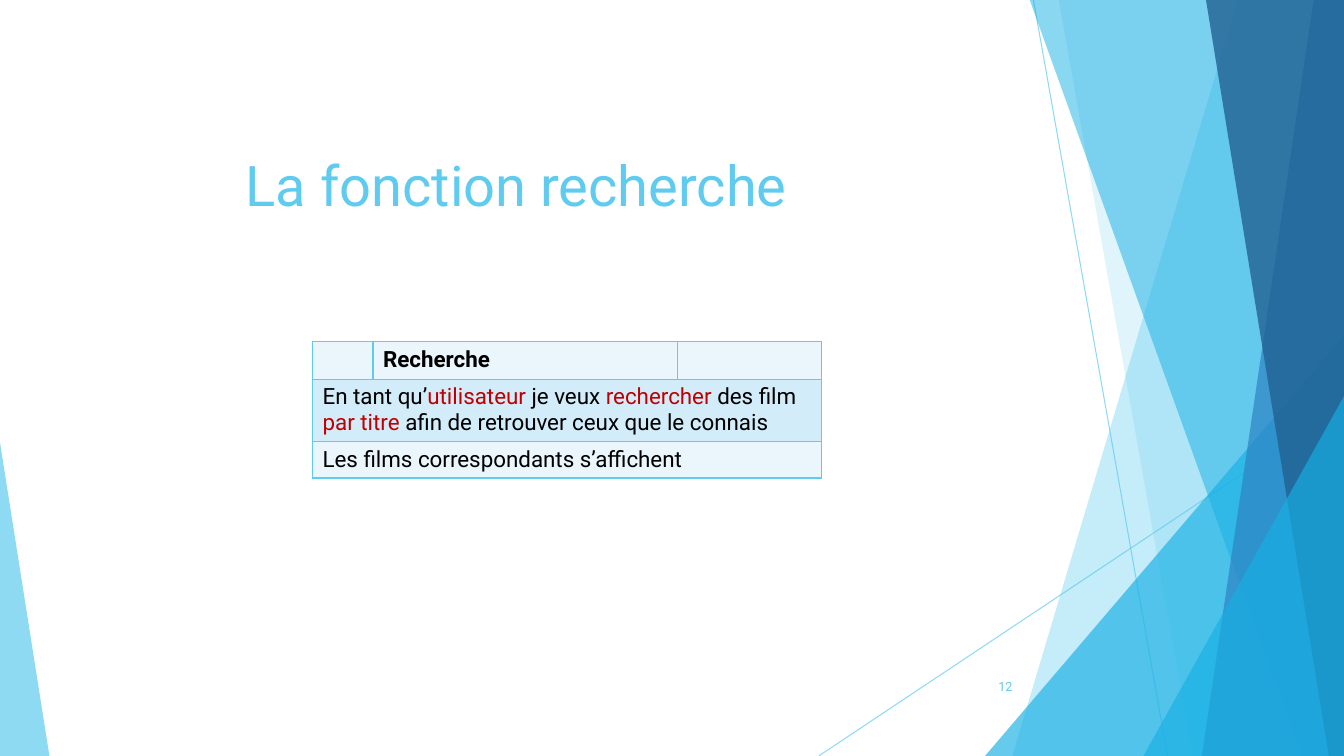
from lxml.etree import SubElement
from pptx import Presentation
from pptx.dml.color import RGBColor
from pptx.enum.shapes import MSO_CONNECTOR, MSO_SHAPE
from pptx.enum.text import MSO_ANCHOR, PP_ALIGN
from pptx.oxml.ns import qn
from pptx.util import Inches, Pt

SKY = RGBColor(0x5F, 0xCB, 0xEF)
CYAN = RGBColor(0x17, 0xB0, 0xE4)
BLUE = RGBColor(0x2E, 0x83, 0xC3)
NAVY = RGBColor(0x22, 0x62, 0x92)
PALE = RGBColor(0xEA, 0xF6, 0xFC)
LIGHT = RGBColor(0xD2, 0xEC, 0xF9)
RED = RGBColor(0xC0, 0x00, 0x00)
BLACK = RGBColor(0x00, 0x00, 0x00)
WIDTH, HEIGHT = 13.33, 7.5


def write(tf, *parts, size=16, color=BLACK, bold=False, align=PP_ALIGN.LEFT,
          anchor=MSO_ANCHOR.TOP):
    """Write (text, color) parts or plain strings as runs of one paragraph."""
    tf.word_wrap = True
    tf.vertical_anchor = anchor
    p = tf.paragraphs[0]
    p.alignment = align
    for part in parts:
        text, tint = (part, color) if isinstance(part, str) else part
        r = p.add_run()
        r.text = text
        r.font.name = "Roboto"
        r.font.size = Pt(size)
        r.font.bold = bold
        r.font.color.rgb = tint


def paint(fill, color, opacity):
    """Give a fill a solid color with an opacity in percent."""
    fill.solid()
    fill.fore_color.rgb = color
    for clr in fill._xPr.iter(qn("a:srgbClr")):
        SubElement(clr, qn("a:alpha"), val=str(opacity * 1000))


prs = Presentation()
prs.slide_width, prs.slide_height = Inches(WIDTH), Inches(HEIGHT)
s = prs.slides.add_slide(prs.slide_layouts[5])

# Thin crossing lines
for x1, y1, x2, y2 in [(10.25, 0, 11.58, HEIGHT), (WIDTH, 4.03, 8.12, HEIGHT)]:
    line = s.shapes.add_connector(MSO_CONNECTOR.STRAIGHT, Inches(x1), Inches(y1),
                                  Inches(x2), Inches(y2))
    line.line.width = Pt(0.75)
    paint(line.line.fill, SKY, 70)
    SubElement(line._element.spPr, qn("a:effectLst"))

# Translucent facets: a band has its top and bottom left corners and reaches
# the right edge; a triangle has its box and the place of its tip.
facets = [
    ("band", (12.28, 10.04), SKY, 36),
    ("band", (10.5, 11.83), SKY, 20),
    ("triangle", (9.77, 3.33, 3.56, 4.17, 1), CYAN, 66),
    ("band", (10.21, 12.91), CYAN, 50),
    ("band", (13.03, 11.92), BLUE, 70),
    ("band", (11.96, 13.18), NAVY, 80),
    ("triangle", (11.34, 3.93, 1.99, 3.57, 1), CYAN, 66),
    ("triangle", (0, 4.39, 0.49, 3.11, 0), SKY, 70),
]
for kind, geometry, color, opacity in facets:
    if kind == "band":
        top, bottom = geometry
        outline = s.shapes.build_freeform(Inches(top), Inches(-0.01))
        corners = [(WIDTH, -0.01), (WIDTH, HEIGHT), (bottom, HEIGHT)]
        outline.add_line_segments([(Inches(x), Inches(y)) for x, y in corners])
        sp = outline.convert_to_shape()
    else:
        *box, tip = geometry
        sp = s.shapes.add_shape(MSO_SHAPE.ISOSCELES_TRIANGLE, *map(Inches, box))
        sp.adjustments[0] = tip
    sp.shadow.inherit = False
    sp.line.fill.background()
    paint(sp.fill, color, opacity)

title = s.shapes.title
title.left, title.top = Inches(0.42), Inches(1.06)
title.width, title.height = Inches(9.4), Inches(1.15)
write(title.text_frame, "La fonction recherche", size=40, color=SKY,
      align=PP_ALIGN.CENTER, anchor=MSO_ANCHOR.BOTTOM)

# User story table
table = s.shapes.add_table(3, 3, Inches(3.1), Inches(3.39), Inches(5.05),
                           Inches(1.34)).table
for column, width in zip(table.columns, (0.6, 3.02, 1.43)):
    column.width = Inches(width)
for row, height in zip(table.rows, (0.36, 0.62, 0.36)):
    row.height = Inches(height)
for i, row in enumerate(table.rows):
    for cell in row.cells:
        tcPr = cell._tc.get_or_add_tcPr()
        for side in ("a:lnL", "a:lnR", "a:lnT", "a:lnB"):
            ln = SubElement(tcPr, qn(side), w=str(Pt(1)))
            SubElement(SubElement(ln, qn("a:solidFill")), qn("a:srgbClr"),
                       val=str(SKY))
        cell.fill.solid()
        cell.fill.fore_color.rgb = LIGHT if i == 1 else PALE
        end = cell.text_frame.paragraphs[0]._p.get_or_add_endParaRPr()
        end.set("sz", "1600")
for i in (1, 2):
    table.cell(i, 0).merge(table.cell(i, 2))

write(table.cell(0, 1).text_frame, "Recherche", bold=True)
write(table.cell(1, 0).text_frame, "En tant qu’", ("utilisateur", RED),
      " je veux ", ("rechercher ", RED), "des film ", ("par titre ", RED),
      "afin de retrouver ceux que le connais")
write(table.cell(2, 0).text_frame, "Les films correspondants s’affichent ")

number = s.shapes.add_textbox(Inches(9.39), Inches(6.61), Inches(0.75), Inches(0.4))
write(number.text_frame, "12", size=9, color=SKY, align=PP_ALIGN.RIGHT,
      anchor=MSO_ANCHOR.MIDDLE)

prs.save("out.pptx")
